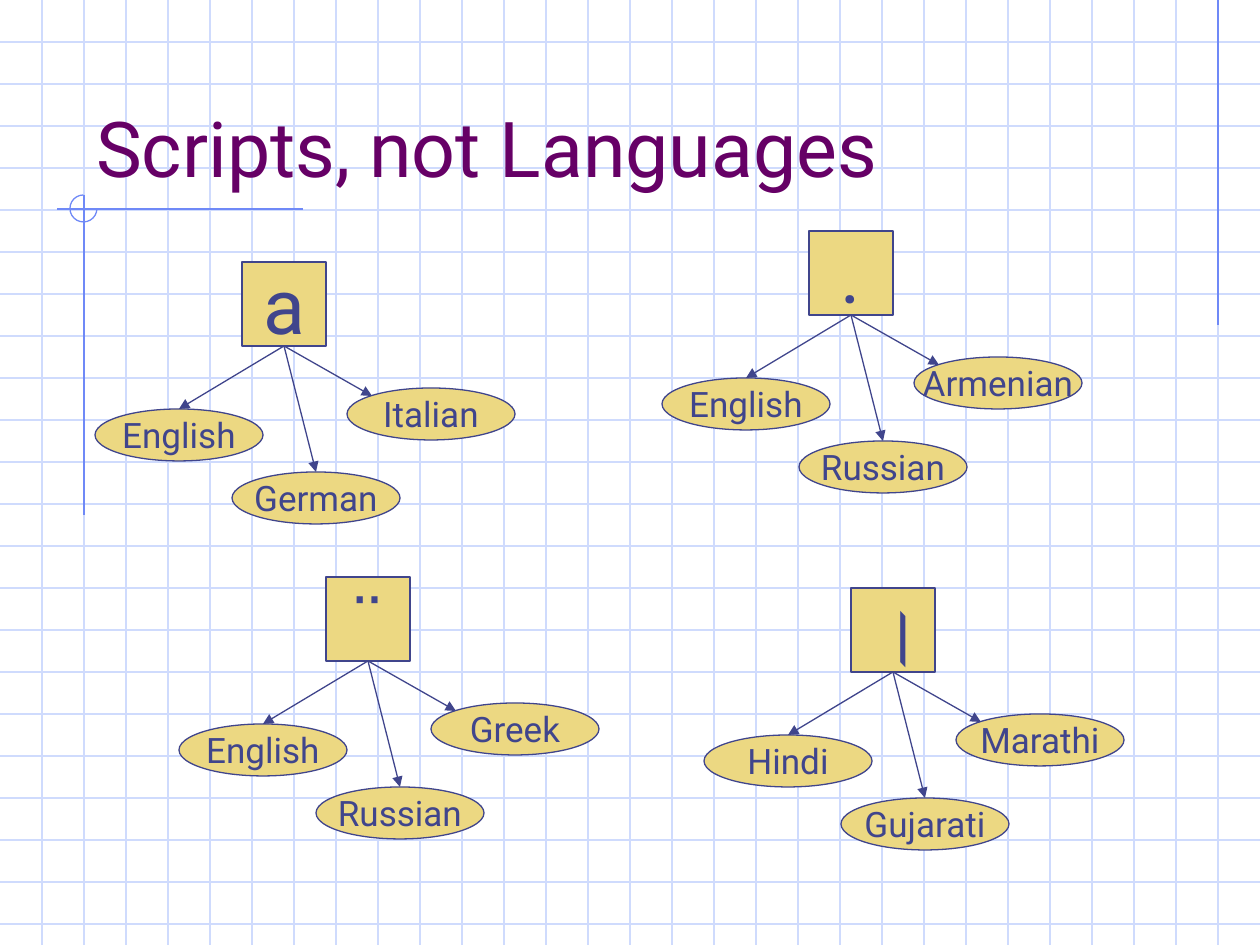
from lxml.etree import SubElement
from pptx import Presentation
from pptx.dml.color import RGBColor
from pptx.enum.shapes import MSO_CONNECTOR, MSO_SHAPE
from pptx.enum.text import MSO_ANCHOR, PP_ALIGN
from pptx.oxml.ns import qn
from pptx.util import Inches, Pt

WIDE, HIGH, GRID = 1260, 945, 42
INK, SAND, PALE, BLUE, PLUM = "40458C", "ECD882", "CFDBFD", "6F89F7", "660066"
SANS, MONO = "Roboto", "Courier New"
BOX = 84
OVAL_W, OVAL_H = 168, 52
LEFT, LOW, RIGHT = (-147, 147), (-10, 210), (105, 126)
TREES = [
    (242, 262, "a", SANS, ("English", "German", "Italian")),
    (809, 231, ".", SANS, ("English", "Russian", "Armenian")),
    (851, 588, "।", MONO, ("Hindi", "Gujarati", "Marathi")),
    (326, 577, "¨", MONO, ("English", "Russian", "Greek")),
]


def px(num):
    """Turn pixels into EMU."""
    return round(num * Inches(10) / WIDE)


def tint(code):
    """Give the colour for a hex string."""
    return RGBColor.from_string(code)


def write(frame, text, size, face, color):
    """Put one styled paragraph in a frame and return it."""
    para = frame.paragraphs[0]
    para.text = text
    para.font.size = Pt(size)
    para.font.name = face
    para.font.color.rgb = tint(color)
    return para


def line(slide, start, end, color):
    """Draw a thin straight line without shadow."""
    rule = slide.shapes.add_connector(
        MSO_CONNECTOR.STRAIGHT, *map(px, (*start, *end)))
    rule.line.color.rgb = tint(color)
    rule.line.width = Pt(0.75)
    SubElement(rule._element.spPr, qn("a:effectLst"))
    return rule


def arrow(slide, start, end):
    """Draw a line with a triangle at its end."""
    rule = line(slide, start, end, INK)
    SubElement(rule.line._get_or_add_ln(), qn("a:tailEnd"), type="triangle")
    return rule


def node(slide, kind, area, text, size, face):
    """Draw a sand shape with a centred label."""
    shape = slide.shapes.add_shape(kind, *map(px, area))
    shape.shadow.inherit = False
    shape.fill.solid()
    shape.fill.fore_color.rgb = tint(SAND)
    shape.line.color.rgb = tint(INK)
    shape.line.width = Pt(0.75)
    frame = shape.text_frame
    frame.word_wrap = False
    frame.vertical_anchor = MSO_ANCHOR.MIDDLE
    write(frame, text, size, face, INK).alignment = PP_ALIGN.CENTER
    return shape


def tree(slide, x, y, sign, face, names):
    """Draw a sign with arrows to the three languages that use it."""
    root = node(slide, MSO_SHAPE.RECTANGLE, (x, y, BOX, BOX), sign, 44, face)
    foot = (x + BOX // 2, y + BOX)
    for name, (dx, dy) in zip(names, (LEFT, LOW, RIGHT)):
        left, top = x + dx, y + dy
        oval = node(slide, MSO_SHAPE.OVAL, (left, top, OVAL_W, OVAL_H),
                    name, 20, SANS)
        if (dx, dy) == RIGHT:
            link = arrow(slide, foot, (left + 25, top + 8))
        else:
            link = arrow(slide, foot, (left + OVAL_W // 2, top))
            link.end_connect(oval, 0)
        link.begin_connect(root, 2)


def paper(slide):
    """Draw the squared paper and its blue accents."""
    for y in range(GRID, HIGH, GRID):
        line(slide, (0, y), (WIDE, y), PALE)
    for x in range(GRID, WIDE, GRID):
        line(slide, (x, 0), (x, HIGH), PALE)
    line(slide, (1218, 0), (1218, 325), BLUE)
    line(slide, (303, 209), (57, 209), BLUE)
    line(slide, (84, 195), (84, 515), BLUE)
    arc = slide.shapes.add_shape(MSO_SHAPE.ARC, *map(px, (70, 195, 27, 27)))
    arc.adjustments[0], arc.adjustments[1] = 0, 162
    arc.shadow.inherit = False
    arc.fill.background()
    arc.line.color.rgb = tint(BLUE)
    arc.line.width = Pt(0.75)


def title(slide, text):
    """Write the slide title on its base line."""
    box = slide.shapes.add_textbox(*map(px, (84, 42, 1071, 157)))
    frame = box.text_frame
    frame.word_wrap = True
    frame.vertical_anchor = MSO_ANCHOR.BOTTOM
    write(frame, text, 44, SANS, PLUM)


def main():
    """Build and save the slide."""
    deck = Presentation()
    deck.slide_width, deck.slide_height = px(WIDE), px(HIGH)
    slide = deck.slides.add_slide(deck.slide_layouts[6])
    paper(slide)
    title(slide, "Scripts, not Languages")
    for item in TREES:
        tree(slide, *item)
    deck.save("out.pptx")


if __name__ == "__main__":
    main()
